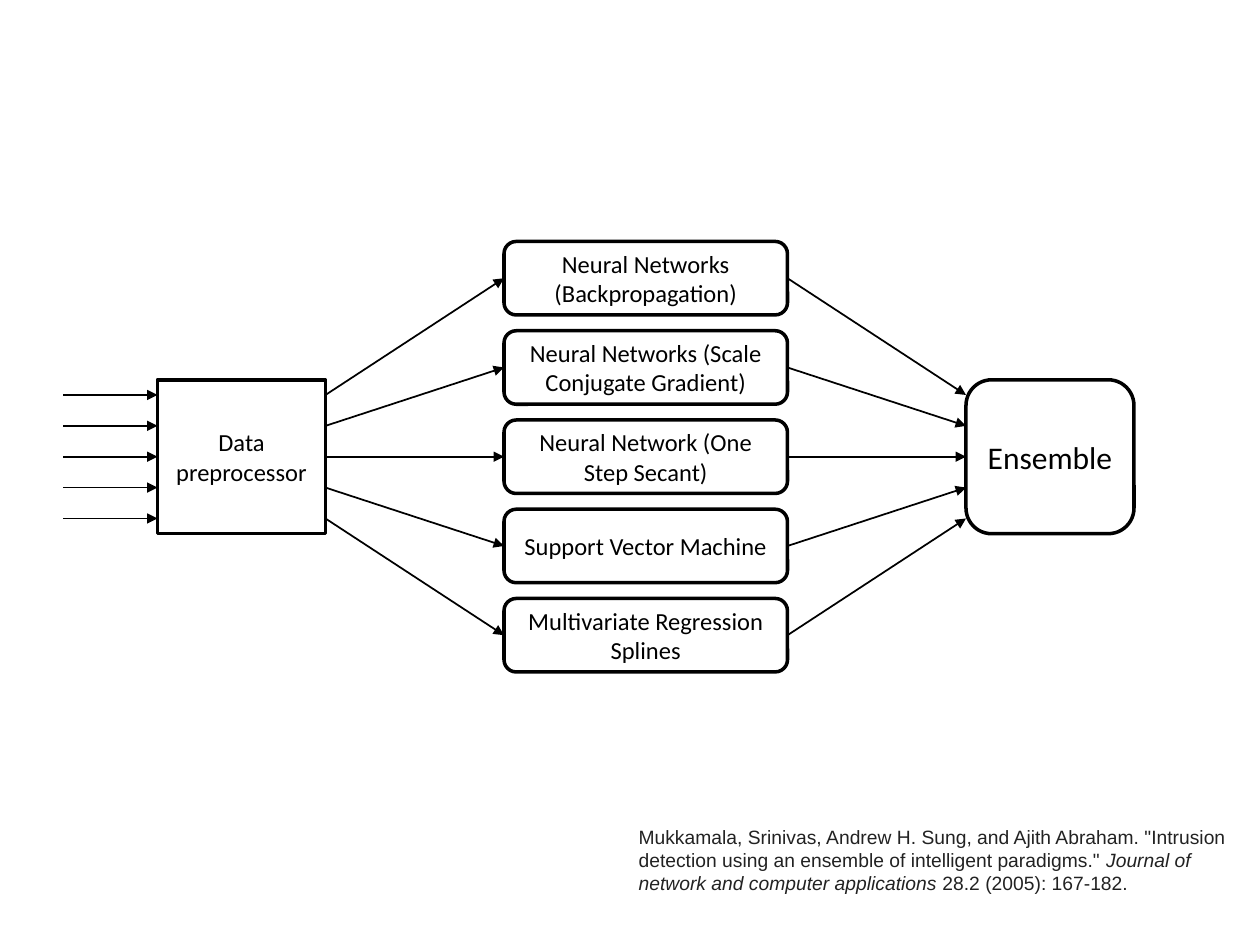
from lxml import etree
from pptx import Presentation, util as u
from pptx.dml.color import RGBColor
from pptx.enum import shapes, text
from pptx.oxml.ns import qn

COLORS = {"ink": "000000", "paper": "FFFFFF", "citation": "222222"}
CELL = u.Inches(1) / 12
AXIS = 43.5
MODEL_PITCH, MODEL_ROWS = 8.5, 7
LANE_PITCH, HUB_ROWS = 2.94, 14.66
INPUT_COL, DATA_COL, MODEL_COL, ENSEMBLE_COL = 6, 15, 48, 92
HUB_COLS, MODEL_COLS = 16, 27
LEFT, RIGHT = 1, 3

deck = Presentation()
deck.slide_width, deck.slide_height = u.Inches(10), u.Inches(7.5)
slide = deck.slides.add_slide(deck.slide_layouts[6])


def add_box(preset, label, size, col, middle, cols, rows):
    box = slide.shapes.add_shape(
        preset, *(round(n * CELL) for n in (col, middle - rows / 2, cols, rows)))
    box.shadow.inherit = False
    box.fill.solid()
    box.fill.fore_color.rgb = RGBColor.from_string(COLORS["paper"])
    box.line.color.rgb = RGBColor.from_string(COLORS["ink"])
    box.line.width = u.Pt(2)
    box.text_frame.vertical_anchor = text.MSO_ANCHOR.MIDDLE
    paragraph = box.text_frame.paragraphs[0]
    paragraph.text = label
    paragraph.alignment = text.PP_ALIGN.CENTER
    paragraph.font.name, paragraph.font.size = "Calibri", u.Pt(size)
    paragraph.font.color.rgb = RGBColor.from_string(COLORS["ink"])
    return box


def add_arrow(*ends):
    arrow = slide.shapes.add_connector(
        shapes.MSO_CONNECTOR.STRAIGHT, *(round(n * CELL) for n in ends))
    arrow.line.color.rgb = RGBColor.from_string(COLORS["ink"])
    arrow.line.width = u.Pt(1)
    etree.SubElement(arrow.line._get_or_add_ln(), qn("a:tailEnd"), type="triangle")
    etree.SubElement(arrow._element.spPr, qn("a:effectLst"))
    return arrow


RECT, ROUNDED = shapes.MSO_SHAPE.RECTANGLE, shapes.MSO_SHAPE.ROUNDED_RECTANGLE
preprocessor = add_box(RECT, "Data preprocessor", 14, DATA_COL, AXIS, HUB_COLS, HUB_ROWS)
ensemble = add_box(ROUNDED, "Ensemble", 18, ENSEMBLE_COL, AXIS, HUB_COLS, HUB_ROWS)

models = [
    "Neural Networks (Backpropagation)",
    "Neural Networks (Scale Conjugate Gradient)",
    "Neural Network (One Step Secant)",
    "Support Vector Machine",
    "Multivariate Regression Splines",
]
for offset, name in enumerate(models, start=-2):
    lane = AXIS + offset * LANE_PITCH
    middle = AXIS + offset * MODEL_PITCH
    model = add_box(ROUNDED, name, 14, MODEL_COL, middle, MODEL_COLS, MODEL_ROWS)
    feed = add_arrow(INPUT_COL, lane, DATA_COL, lane)
    fan_out = add_arrow(DATA_COL + HUB_COLS, lane, MODEL_COL, middle)
    fan_in = add_arrow(MODEL_COL + MODEL_COLS, middle, ENSEMBLE_COL, lane)
    fan_out.end_connect(model, LEFT)
    fan_in.begin_connect(model, RIGHT)
    if offset == 0:
        feed.end_connect(preprocessor, LEFT)
        fan_out.begin_connect(preprocessor, RIGHT)
        fan_in.end_connect(ensemble, LEFT)

citation = slide.shapes.add_textbox(u.Inches(4.97), u.Inches(6.5), u.Inches(5), u.Inches(0.66))
citation.text_frame.word_wrap = True
reference = citation.text_frame.paragraphs[0]
reference.font.name, reference.font.size = "Arial", u.Pt(11)
reference.font.color.rgb = RGBColor.from_string(COLORS["citation"])
for passage, italic in [
    ('Mukkamala, Srinivas, Andrew H. Sung, and Ajith Abraham. "Intrusion detection '
     'using an ensemble of intelligent paradigms." ', False),
    ("Journal of network and computer applications", True),
    (" 28.2 (2005): 167-182.", False),
]:
    run = reference.add_run()
    run.text = passage
    run.font.italic = italic

deck.save("out.pptx")
